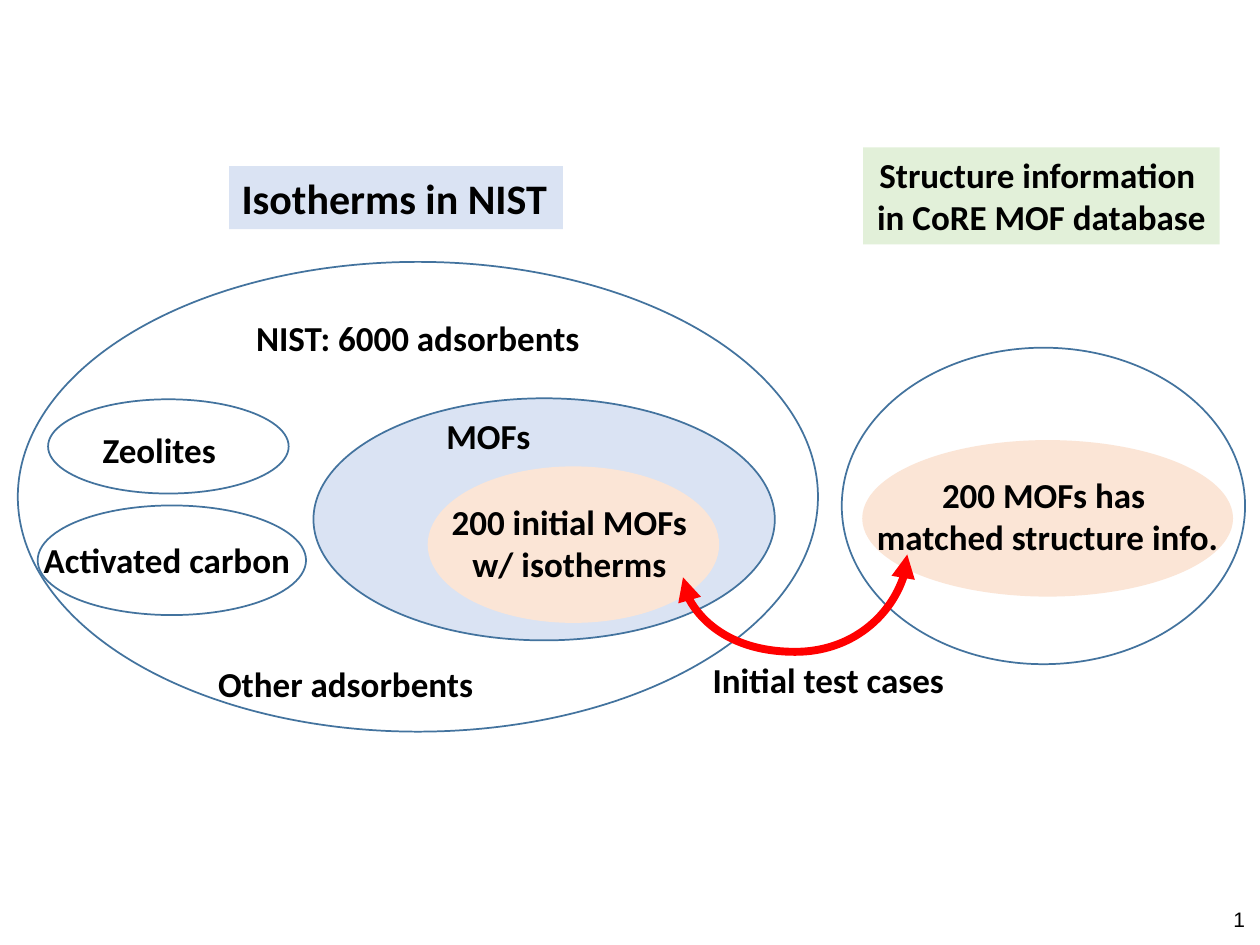
from lxml.etree import SubElement as Sub
from pptx import Presentation
from pptx.dml.color import RGBColor
from pptx.enum.shapes import MSO_CONNECTOR as Conn, MSO_SHAPE as Kind
from pptx.enum.text import MSO_ANCHOR as Anchor, MSO_AUTO_SIZE as Fit, PP_ALIGN as Align
from pptx.oxml.ns import qn
from pptx.util import Cm, Pt

BLUE, PEACH, GREEN = "DAE3F3", "FBE5D6", "E2F0D9"
EDGE, RED, BLACK = "43739E", "FF0000", "000000"


def paint(part, tone):
    """Set a fill, line or font colour from a hex string."""
    if hasattr(part, "solid"):
        part.solid()
        part.fore_color.rgb = RGBColor.from_string(tone)
    elif hasattr(part, "fill"):
        paint(part.fill, tone)


def oval(slide, x, y, w, h, fill=None, edge=EDGE):
    shape = slide.shapes.add_shape(Kind.OVAL, Cm(x), Cm(y), Cm(w), Cm(h))
    shape.shadow.inherit = False
    if fill:
        paint(shape.fill, fill)
    else:
        shape.fill.background()
    paint(shape.line, edge)
    shape.line.width = Pt(1)


def label(slide, x, y, w, h, text, size=20, face="Calibri", bold=True,
          align=Align.CENTER, wrap=False, fill=None):
    box = slide.shapes.add_textbox(Cm(x), Cm(y), Cm(w), Cm(h))
    if fill:
        paint(box.fill, fill)
    frame = box.text_frame
    frame.text = text
    frame.word_wrap = wrap
    frame.auto_size = Fit.SHAPE_TO_FIT_TEXT
    for para in frame.paragraphs:
        para.alignment = align
        font = para.font
        font.name, font.size, font.bold = face, Pt(size), bold
        paint(font, BLACK)
    return frame


def nist(slide, x, y, w, h):
    # Heading and outer set
    label(slide, x + 4.26, y - 1.93, 6.73, 1.27, "Isotherms in NIST",
          size=24, align=Align.LEFT, fill=BLUE)
    oval(slide, x, y, w, h)
    # Subsets
    for dx, dy, dw, dh, fill, edge in [
        (5.96, 2.75, 9.3, 4.88, BLUE, EDGE),
        (8.28, 4.14, 5.84, 3.12, PEACH, PEACH),
        (0.61, 2.77, 4.85, 1.9, None, EDGE),
        (0.4, 4.91, 5.41, 2.21, None, EDGE),
    ]:
        oval(slide, x + dx, y + dy, dw, dh, fill, edge)
    # Names
    for dx, dy, dw, dh, text in [
        (4.52, 0.97, 7.09, 1.12, "NIST: 6000 adsorbents"),
        (1.44, 3.23, 2.82, 1.12, "Zeolites"),
        (0.25, 5.46, 5.51, 1.12, "Activated carbon"),
        (8.38, 2.95, 2.21, 1.12, "MOFs"),
        (8.48, 4.68, 5.28, 1.96, "200 initial MOFs\nw/ isotherms"),
        (3.75, 7.95, 5.72, 1.12, "Other adsorbents"),
    ]:
        label(slide, x + dx, y + dy, dw, dh, text)


def core(slide, x, y, w, h):
    # Heading, outer set and matched subset
    label(slide, x + 0.43, y - 4.04, 7.19, 1.96,
          "Structure information \nin CoRE MOF database", fill=GREEN)
    oval(slide, x, y, w, h)
    oval(slide, x + 0.43, y + 1.88, 7.44, 3.12, PEACH, PEACH)
    label(slide, x + 0.43, y + 2.41, 7.44, 1.96,
          "200 MOFs has \nmatched structure info.")


def link(slide, x, y, w, h):
    label(slide, x - 0.79, y + 1.98, 7.44, 1.12, "Initial test cases", wrap=True)
    # The curve is laid out upright, then turned a quarter about its centre
    cx, cy = x + w / 2, y + h / 2
    curve = slide.shapes.add_connector(
        Conn.CURVE, Cm(cx + h / 2), Cm(cy + w / 2), Cm(cx - h / 2), Cm(cy - w / 2))
    paint(curve.line, RED)
    curve.line.width = Pt(4.5)
    props = curve._element.spPr
    props.find(qn("a:xfrm")).set("rot", "5400000")
    bends = props.find(qn("a:prstGeom")).find(qn("a:avLst"))
    Sub(bends, qn("a:gd"), name="adj1", fmla="val -326700")
    line = props.find(qn("a:ln"))
    for end in ("a:headEnd", "a:tailEnd"):
        Sub(line, qn(end), type="triangle")
    Sub(props, qn("a:effectLst"))


def page(slide, x, y, w, h):
    frame = label(slide, x, y, w, h, "1", size=12, face="Arial", bold=False,
                  align=Align.RIGHT, wrap=True)
    frame.auto_size = Fit.NONE
    frame.vertical_anchor = Anchor.MIDDLE


deck = Presentation()
deck.slide_width, deck.slide_height = Cm(25.4), Cm(19.05)
slide = deck.slides.add_slide(deck.slide_layouts[6])
nist(slide, 0.36, 5.28, 16.13, 9.47)
core(slide, 16.97, 7.01, 8.13, 6.38)
link(slide, 13.77, 11.18, 4.52, 0.46)
page(slide, 19.63, 18.01, 5.72, 1.02)
deck.save("out.pptx")
